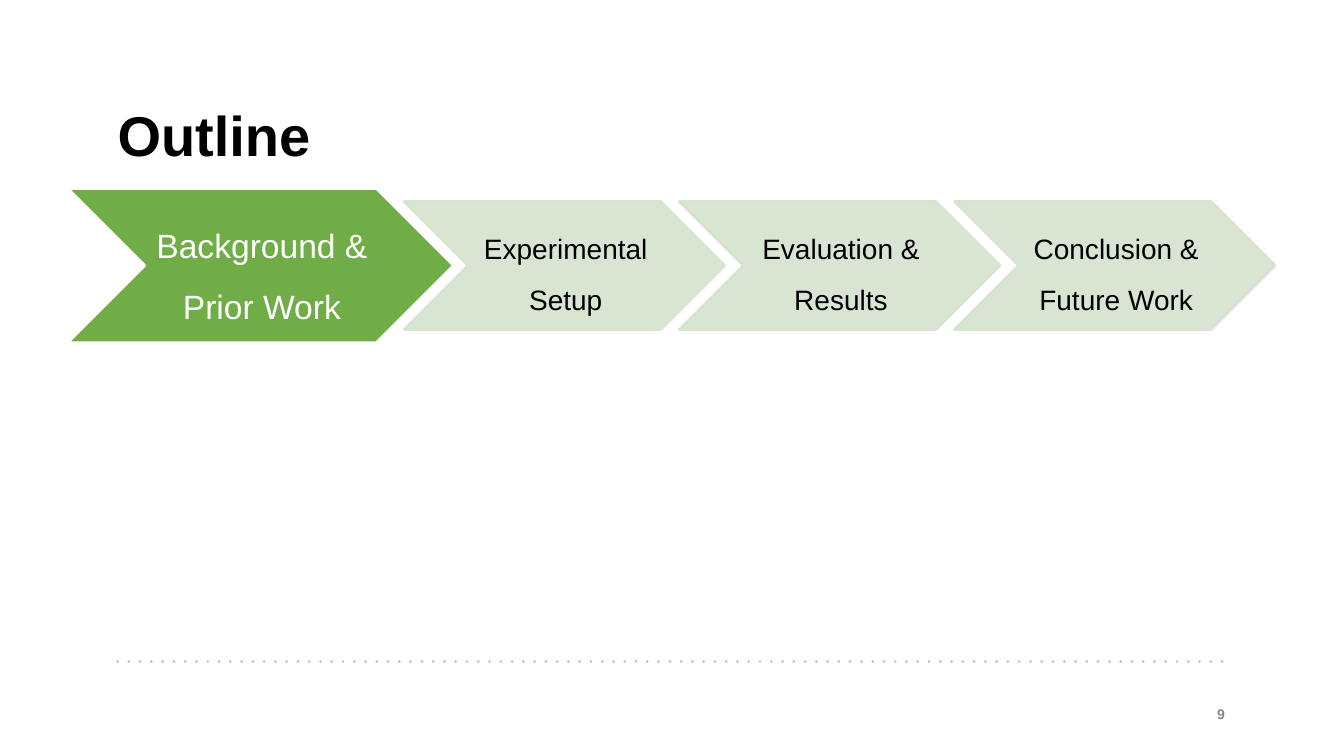
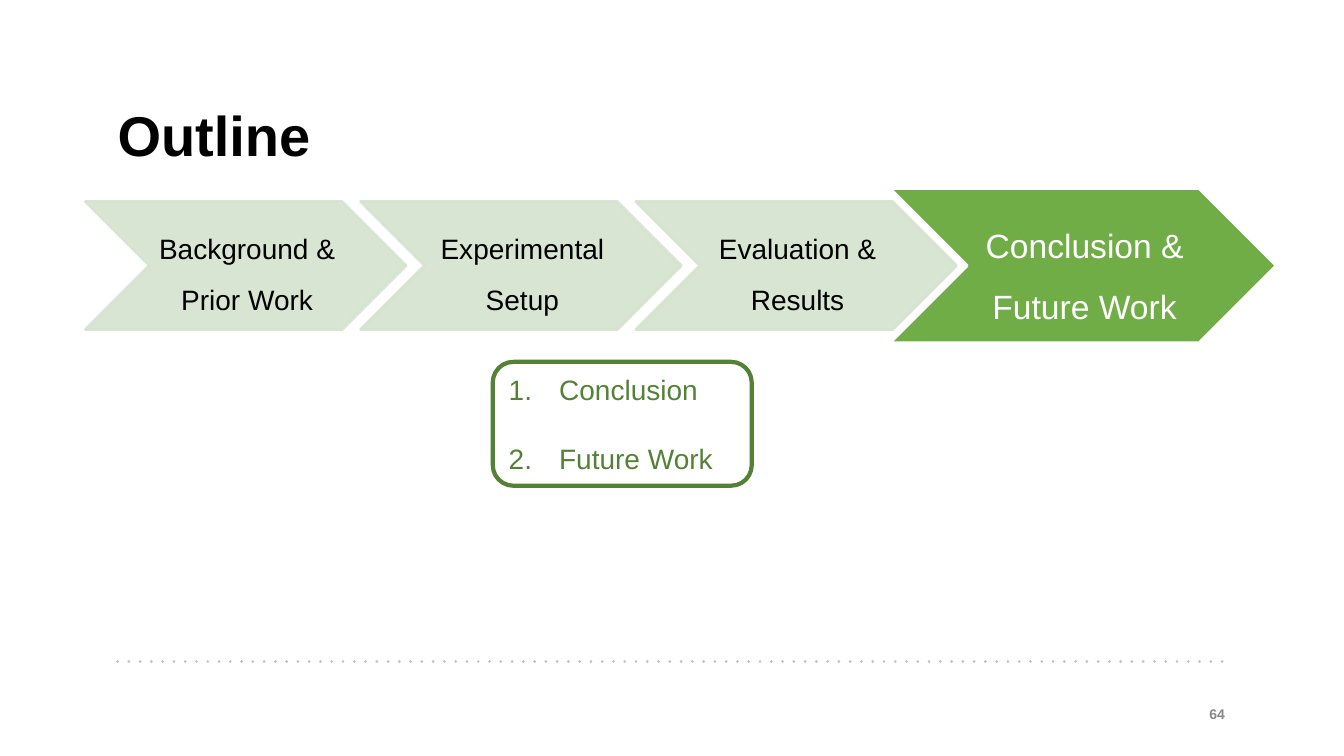
from lxml.etree import SubElement
from pptx import Presentation
from pptx.dml.color import RGBColor
from pptx.enum.shapes import MSO_CONNECTOR, MSO_SHAPE
from pptx.enum.text import MSO_ANCHOR, PP_ALIGN
from pptx.oxml.ns import qn
from pptx.util import Pt

BLACK = RGBColor(0x00, 0x00, 0x00)
WHITE = RGBColor(0xFF, 0xFF, 0xFF)
GREEN = RGBColor(0x70, 0xAD, 0x47)
DARK_GREEN = RGBColor(0x54, 0x82, 0x35)
PALE_GREEN = RGBColor(0xD5, 0xE3, 0xCF)
RULE_GRAY = RGBColor(0xBF, 0xBF, 0xBF)
NUMBER_GRAY = RGBColor(0x88, 0x88, 0x88)

STEPS = ["Background & Prior Work", "Experimental Setup",
         "Evaluation & Results", "Conclusion & Future Work"]
STEP_PITCH = 196.6
STEP_MIDDLE = 189.7
CURRENT = {"width": 275.8, "height": 110.2, "size": 24,
           "fill": GREEN, "line": WHITE, "color": WHITE}
OTHER = {"width": 229, "height": 91.5, "size": 20,
         "fill": PALE_GREEN, "line": PALE_GREEN, "color": BLACK}

PAGES = [
    {"number": "9", "current": 0, "current_left": 48.2, "first_left": 92, "topics": []},
    {"number": "64", "current": 3, "current_left": 635.8, "first_left": 61,
     "topics": ["Conclusion", "Future Work"]},
]


def set_frame(frame, anchor, margins):
    """Wrap the text, anchor it and set left, top, right and bottom margins."""
    frame.word_wrap = True
    frame.vertical_anchor = anchor
    for side, margin in zip(("left", "top", "right", "bottom"), margins):
        setattr(frame, f"margin_{side}", Pt(margin))


def set_text(para, text, size, color, bold=False, **layout):
    """Write one run; layout holds paragraph attributes."""
    for name, value in layout.items():
        setattr(para, name, value)
    span = para.add_run()
    span.text = text
    formats = {"name": "Arial", "size": Pt(size), "bold": bold}
    for name, value in formats.items():
        setattr(span.font, name, value)
    span.font.color.rgb = color


deck = Presentation()
deck.slide_width, deck.slide_height = Pt(960), Pt(540)

for page in PAGES:
    slide = deck.slides.add_slide(deck.slide_layouts[6])
    shapes = slide.shapes

    # Footer rule
    rule = shapes.add_connector(MSO_CONNECTOR.STRAIGHT, Pt(84), Pt(472.5), Pt(876), Pt(472.5))
    rule.line.color.rgb = RULE_GRAY
    rule.line.width = Pt(2)
    properties = rule._element.spPr
    outline = properties.find(qn("a:ln"))
    outline.set("cap", "rnd")
    SubElement(outline, qn("a:prstDash"), val="dot")
    SubElement(properties, qn("a:effectLst"))

    # Title and page number
    title = shapes.add_textbox(Pt(84), Pt(81.4), Pt(792), Pt(41)).text_frame
    set_frame(title, MSO_ANCHOR.MIDDLE, (0, 0, 0, 0))
    set_text(title.paragraphs[0], "Outline", 40, BLACK, bold=True, line_spacing=0.7)
    number = shapes.add_textbox(Pt(666), Pt(495.4), Pt(216), Pt(28.8)).text_frame
    set_frame(number, MSO_ANCHOR.MIDDLE, (7.2, 3.6, 7.2, 3.6))
    set_text(number.paragraphs[0], page["number"], 10, NUMBER_GRAY, bold=True,
             alignment=PP_ALIGN.RIGHT)

    # Chevrons for the steps, the current one larger
    for position, step in enumerate(STEPS):
        is_current = position == page["current"]
        style = CURRENT if is_current else OTHER
        left = page["current_left"] if is_current else page["first_left"] + position * STEP_PITCH
        chevron = shapes.add_shape(
            MSO_SHAPE.CHEVRON, Pt(left), Pt(STEP_MIDDLE - style["height"] / 2),
            Pt(style["width"]), Pt(style["height"]))
        chevron.shadow.inherit = False
        chevron.fill.solid()
        chevron.fill.fore_color.rgb = style["fill"]
        chevron.line.color.rgb = style["line"]
        chevron.line.width = Pt(2)
        if not is_current:
            for color in chevron._element.spPr.iter(qn("a:srgbClr")):
                SubElement(color, qn("a:alpha"), val="90000")
        set_frame(chevron.text_frame, MSO_ANCHOR.MIDDLE, (2, 1, 0, 1))
        set_text(chevron.text_frame.paragraphs[0], step, style["size"], style["color"],
                 alignment=PP_ALIGN.CENTER, line_spacing=1.5)

    # Numbered topics of the current step
    if page["topics"]:
        box = shapes.add_shape(MSO_SHAPE.ROUNDED_RECTANGLE, Pt(352), Pt(258.5), Pt(185), Pt(88.5))
        box.shadow.inherit = False
        box.fill.background()
        box.line.color.rgb = DARK_GREEN
        box.line.width = Pt(3)
        frame = box.text_frame
        set_frame(frame, MSO_ANCHOR.TOP, (7.2, 3.6, 7.2, 3.6))
        for position, topic in enumerate(page["topics"]):
            para = frame.add_paragraph() if position else frame.paragraphs[0]
            settings = para._element.get_or_add_pPr()
            settings.set("marL", str(Pt(36)))
            settings.set("indent", str(-Pt(36)))
            SubElement(settings, qn("a:buFont"), typeface="+mj-lt")
            SubElement(settings, qn("a:buAutoNum"), type="arabicPeriod")
            set_text(para, topic, 20, DARK_GREEN, alignment=PP_ALIGN.LEFT,
                     space_before=Pt(25 if position else 0))

deck.save("out.pptx")
